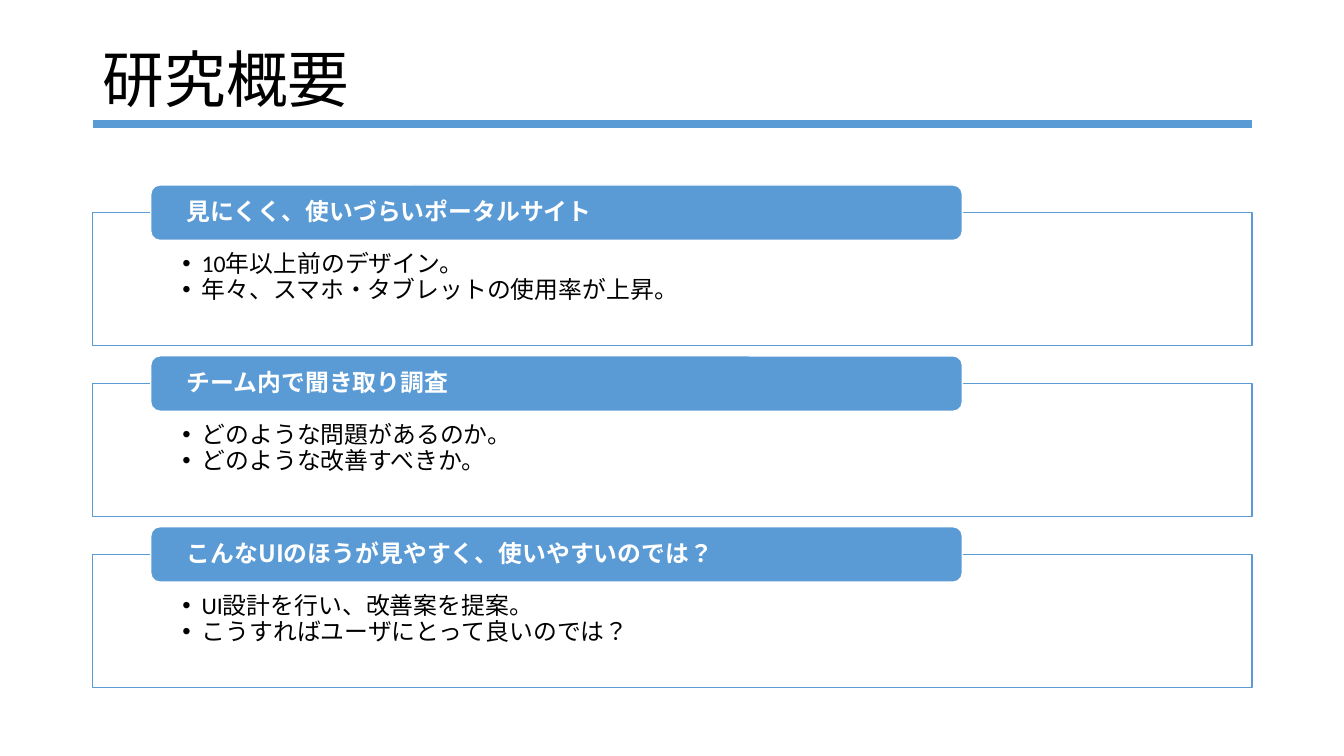
import pptx
import pptx.util
import pptx.dml.color
import pptx.enum.lang
import pptx.enum.shapes
import pptx.enum.text
import pptx.oxml.ns
import lxml.etree

TITLE = "研究概要"
SECTIONS = [
    ("見にくく、使いづらいポータルサイト",
     ["10年以上前のデザイン。", "年々、スマホ・タブレットの使用率が上昇。"]),
    ("チーム内で聞き取り調査",
     ["どのような問題があるのか。", "どのような改善すべきか。"]),
    ("こんなUIのほうが見やすく、使いやすいのでは？",
     ["UI設計を行い、改善案を提案。", "こうすればユーザにとって良いのでは？"]),
]

BLUE = pptx.dml.color.RGBColor(0x5B, 0x9B, 0xD5)
WHITE = pptx.dml.color.RGBColor(0xFF, 0xFF, 0xFF)
BLACK = pptx.dml.color.RGBColor(0x00, 0x00, 0x00)
LATIN_FONT = "Calibri"
JAPANESE_FONT = "Noto Sans CJK JP"

WIDTH, HEIGHT = 13.33, 7.5
LEFT, CONTENT_WIDTH = 0.92, 11.5
RULE_TOP = 1.23
FIRST_FRAME_TOP, ROW_PITCH, FRAME_HEIGHT = 2.11, 1.695, 1.32
HEADING_HEIGHT = 0.55
HEADING_INDENT = CONTENT_WIDTH * 0.05
HEADING_WIDTH = CONTENT_WIDTH * 0.7
BULLET_INDENT = 0.19

inches = pptx.util.Inches
qn = pptx.oxml.ns.qn


def write_text(shape, lines, *, size, color, font=JAPANESE_FONT, bold=False,
               bullet=False, insets=(0.1, 0.05, 0.1, 0.05),
               anchor=pptx.enum.text.MSO_ANCHOR.MIDDLE):
    frame = shape.text_frame
    frame.word_wrap = True
    frame.auto_size = pptx.enum.text.MSO_AUTO_SIZE.NONE
    frame.vertical_anchor = anchor
    (frame.margin_left, frame.margin_top,
     frame.margin_right, frame.margin_bottom) = map(inches, insets)
    for index, line in enumerate(lines):
        para = frame.add_paragraph() if index else frame.paragraphs[0]
        para.alignment = pptx.enum.text.PP_ALIGN.LEFT
        para.line_spacing = 0.9
        para.space_before = para.space_after = pptx.util.Pt(0)
        if bullet:
            properties = para._p.get_or_add_pPr()
            properties.set("marL", str(inches(BULLET_INDENT)))
            properties.set("indent", str(-inches(BULLET_INDENT)))
            lxml.etree.SubElement(properties, qn("a:buFont")).set("typeface", "Arial")
            lxml.etree.SubElement(properties, qn("a:buChar")).set("char", "•")
        span = para.add_run()
        span.text = line
        span.font.name = font
        span.font.size = pptx.util.Pt(size)
        span.font.bold = bold
        span.font.color.rgb = color
        span.font.language_id = pptx.enum.lang.MSO_LANGUAGE_ID.JAPANESE
        east_asian = lxml.etree.Element(qn("a:ea"))
        east_asian.set("typeface", JAPANESE_FONT)
        span.font._element.find(qn("a:latin")).addnext(east_asian)


def add_box(page, kind, left, top, width, height, fill, line):
    box = page.shapes.add_shape(kind, *map(inches, (left, top, width, height)))
    box.shadow.inherit = False
    box.fill.solid()
    box.fill.fore_color.rgb = fill
    box.line.color.rgb = line
    box.line.width = pptx.util.Pt(1)
    return box


def add_section(page, top, heading, points):
    shapes = pptx.enum.shapes.MSO_SHAPE
    frame = add_box(page, shapes.RECTANGLE, LEFT, top,
                    CONTENT_WIDTH, FRAME_HEIGHT, WHITE, BLUE)
    color = frame.fill._xPr.find(qn("a:solidFill"))[0]
    lxml.etree.SubElement(color, qn("a:alpha")).set("val", "90000")
    write_text(frame, points, size=17, color=BLACK, font=LATIN_FONT, bullet=True,
               insets=(0.89, 0.39, 0.89, 0.13), anchor=pptx.enum.text.MSO_ANCHOR.TOP)
    tab = add_box(page, shapes.ROUNDED_RECTANGLE, LEFT + HEADING_INDENT,
                  top - HEADING_HEIGHT / 2, HEADING_WIDTH, HEADING_HEIGHT, BLUE, WHITE)
    write_text(tab, [heading], size=17, color=WHITE, bold=True,
               insets=(0.33, 0, 0.33, 0))


def main():
    deck = pptx.Presentation()
    deck.slide_width, deck.slide_height = inches(WIDTH), inches(HEIGHT)
    page = deck.slides.add_slide(deck.slide_layouts.get_by_name("Title Only"))
    title = page.shapes.title
    title.left, title.top = inches(LEFT), inches(0.4)
    title.width, title.height = inches(CONTENT_WIDTH), inches(RULE_TOP - 0.4)
    write_text(title, [TITLE], size=44, color=BLACK)

    for row, (heading, points) in enumerate(SECTIONS):
        add_section(page, FIRST_FRAME_TOP + row * ROW_PITCH, heading, points)

    rule = page.shapes.add_connector(
        pptx.enum.shapes.MSO_CONNECTOR.STRAIGHT,
        *map(inches, (LEFT, RULE_TOP, LEFT + CONTENT_WIDTH, RULE_TOP)))
    rule.line.color.rgb = BLUE
    rule.line.width = pptx.util.Pt(6)
    lxml.etree.SubElement(rule._element.spPr, qn("a:effectLst"))
    deck.save("out.pptx")


if __name__ == "__main__":
    main()
